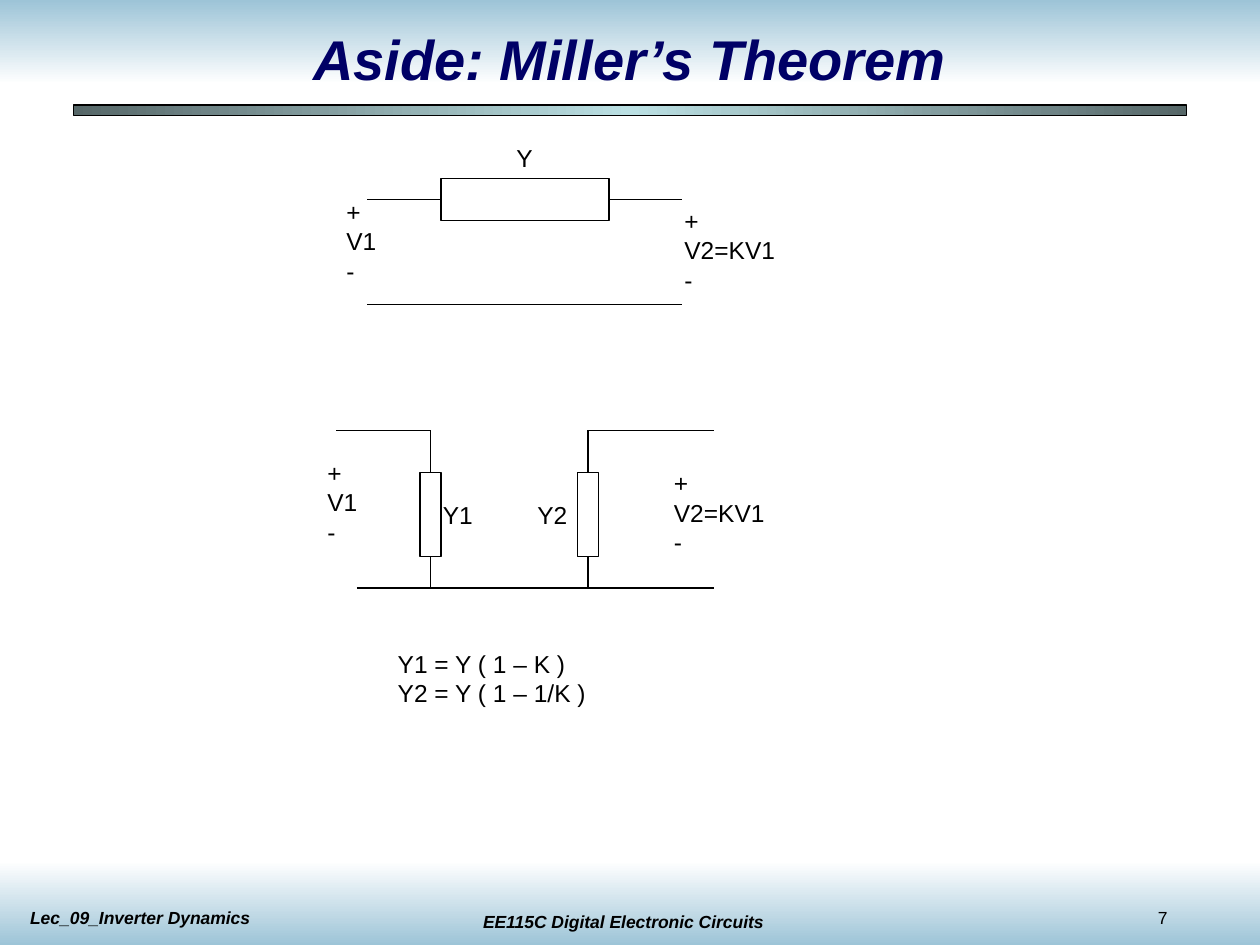
"""Build the Miller's theorem slide with its two equivalent circuits."""
import copy

import pptx
import pptx.util
import pptx.dml.color
import pptx.enum.shapes
import pptx.enum.text
import pptx.oxml

RGBColor = pptx.dml.color.RGBColor
BLACK = RGBColor(0x00, 0x00, 0x00)
WHITE = RGBColor(0xFF, 0xFF, 0xFF)
NAVY = RGBColor(0x00, 0x00, 0x66)
SKY = RGBColor(0x9D, 0xC4, 0xD7)
SLATE = RGBColor(0x56, 0x67, 0x68)
AQUA = RGBColor(0xBB, 0xE0, 0xE3)
FONT = "Arial"
LEFT = pptx.enum.text.PP_ALIGN.LEFT
CENTER = pptx.enum.text.PP_ALIGN.CENTER

WIDTH, HEIGHT = 10, 7.5
COLUMNS, ROWS = 120, 90

TITLE = "Aside: Miller’s Theorem"
TITLE_AREA = (9, 2, 102, 7)
BANDS = [
    ((0, 0, 120, 8), (SKY, WHITE), 270, False),
    ((0, 82, 120, 8), (WHITE, SKY), 270, False),
    ((7, 10, 106, 1), (SLATE, AQUA, SLATE), 0, True),
]
FOOTERS = [
    ("EE115C Digital Electronic Circuits", (42.36, 86.2, 34, 3.2), CENTER, True),
    ("7", (109.1, 85.8, 10, 3.2), LEFT, False),
    ("Lec_09_Inverter Dynamics", (1.68, 85.8, 34, 3.2), LEFT, True),
]
ADMITTANCES = [(42, 17, 16, 4), (40, 45, 2, 8), (55, 45, 2, 8)]
WIRES = [
    ((35, 19), (42, 19)),
    ((58, 19), (65, 19)),
    ((35, 29), (65, 29)),
    ((34, 56), (68, 56)),
    ((41, 45), (41, 41)),
    ((41, 41), (32, 41)),
    ((56, 45), (56, 41)),
    ((56, 41), (68, 41)),
    ((41, 53), (41, 56)),
    ((56, 53), (56, 56)),
]
INPUT_PORT = ["+", "V1", "-"]
OUTPUT_PORT = ["+", "V2=KV1", "-"]
LABELS = [
    (INPUT_PORT, (31.8, 18.15, 5.3, 9.6)),
    (OUTPUT_PORT, (64, 19, 11.1, 9.6)),
    (["Y"], (48, 13, 4, 4.1)),
    (INPUT_PORT, (30, 43, 5.3, 9.6)),
    (OUTPUT_PORT, (63, 44, 11.1, 9.6)),
    (["Y1"], (41, 47, 5.3, 4.1)),
    (["Y2"], (50, 47, 5.3, 4.1)),
    (["Y1 = Y ( 1 – K )", "Y2 = Y ( 1 – 1/K )"], (36.7, 61.2, 20.4, 6.8)),
]


def across(column):
    return pptx.util.Inches(WIDTH * column / COLUMNS)


def down(row):
    return pptx.util.Inches(HEIGHT * row / ROWS)


def place(area):
    left, top, width, height = area
    return across(left), down(top), across(width), down(height)


def write(frame, lines, size, color=BLACK, align=LEFT, strong=False):
    for index, line in enumerate(lines):
        para = frame.add_paragraph() if index else frame.paragraphs[0]
        para.alignment = align
        span = para.add_run()
        span.text = line
        span.font.name = FONT
        span.font.size = pptx.util.Pt(size)
        span.font.bold = span.font.italic = strong
        span.font.color.rgb = color


def add_text(page, lines, area, size, align=LEFT, strong=False, wrap=False):
    frame = page.shapes.add_textbox(*place(area)).text_frame
    frame.word_wrap = wrap
    frame.auto_size = pptx.enum.text.MSO_AUTO_SIZE.SHAPE_TO_FIT_TEXT
    write(frame, lines, size, BLACK, align, strong)


def outline(shape):
    shape.line.color.rgb = BLACK
    shape.line.width = pptx.util.Pt(0.75)


def add_rectangle(page, area):
    kind = pptx.enum.shapes.MSO_SHAPE.RECTANGLE
    box = page.shapes.add_shape(kind, *place(area))
    box.shadow.inherit = False
    return box


def add_band(page, area, colors, angle, framed):
    band = add_rectangle(page, area)
    band.fill.gradient()
    band.fill.gradient_angle = angle
    stop_list = band.element.spPr.find(".//" + pptx.oxml.ns.qn("a:gsLst"))
    for extra in colors[2:]:
        stop_list.append(copy.deepcopy(stop_list[-1]))
    for index, (stop, color) in enumerate(zip(band.fill.gradient_stops, colors)):
        stop.position = index / (len(colors) - 1)
        stop.color.rgb = color
    if framed:
        outline(band)
    else:
        band.line.fill.background()


def add_admittance(page, area):
    box = add_rectangle(page, area)
    box.fill.background()
    outline(box)
    left, top, width, height = area
    middle, center = left + width / 2, top + height / 2
    sides = [(middle, top), (left, center), (middle, top + height), (left + width, center)]
    return {point: (box, side) for side, point in enumerate(sides)}


def add_wire(page, start, end, sites):
    kind = pptx.enum.shapes.MSO_CONNECTOR.STRAIGHT
    wire = page.shapes.add_connector(
        kind, across(start[0]), down(start[1]), across(end[0]), down(end[1]))
    if start in sites:
        wire.begin_connect(*sites[start])
    if end in sites:
        wire.end_connect(*sites[end])
    outline(wire)
    wire.element.spPr.append(pptx.oxml.xmlchemy.OxmlElement("a:effectLst"))


def main():
    deck = pptx.Presentation()
    deck.slide_width = pptx.util.Inches(WIDTH)
    deck.slide_height = pptx.util.Inches(HEIGHT)
    page = deck.slides.add_slide(deck.slide_layouts[5])
    for band in BANDS:
        add_band(page, *band)
    for line, area, align, strong in FOOTERS:
        add_text(page, [line], area, 10, align, strong, wrap=strong)

    title = page.shapes.title
    title.left, title.top, title.width, title.height = place(TITLE_AREA)
    title.text_frame.vertical_anchor = pptx.enum.text.MSO_ANCHOR.MIDDLE
    write(title.text_frame, [TITLE], 32, NAVY, CENTER, True)
    page.shapes.element.append(title.element)

    sites = {}
    for area in ADMITTANCES:
        sites.update(add_admittance(page, area))
    for start, end in WIRES:
        add_wire(page, start, end, sites)
    for lines, area in LABELS:
        add_text(page, lines, area, 14)
    deck.save("out.pptx")


if __name__ == "__main__":
    main()
